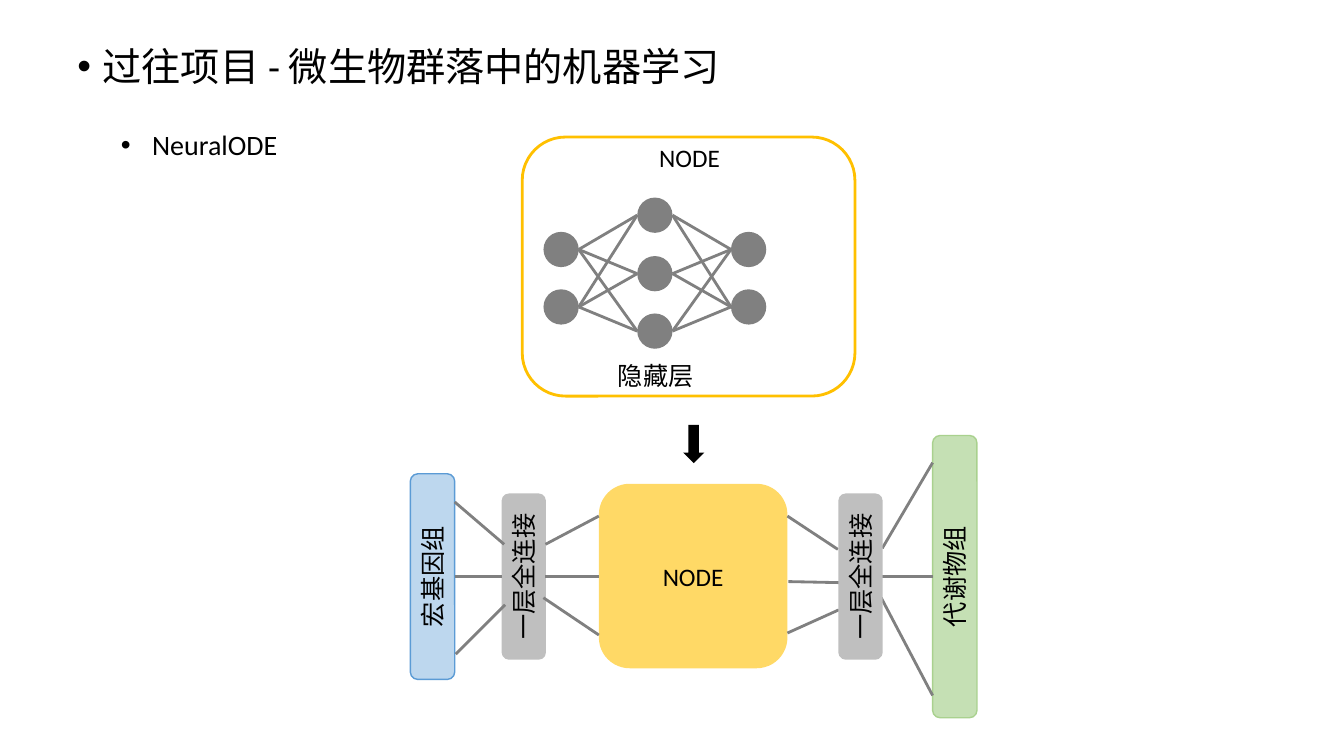
from dataclasses import dataclass
from itertools import product
from typing import Optional

from lxml import etree
from pptx import Presentation
from pptx.dml.color import RGBColor
from pptx.enum import shapes, text
from pptx.oxml.ns import qn
from pptx.util import Inches, Pt


@dataclass(frozen=True)
class Theme:
    font: str = "Calibri"
    black: str = "000000"
    gray: str = "808080"
    silver: str = "BFBFBF"
    gold: str = "FFC000"
    yellow: str = "FFD966"
    sky: str = "BDD7EE"
    blue: str = "5B9BD5"
    mint: str = "C5E0B4"
    green: str = "A9D18E"
    head: int = 28
    item: int = 20
    body: int = 18
    thick: float = 2
    thin: float = 1


@dataclass(frozen=True)
class Box:
    left: float
    top: float
    width: float
    height: float
    fill: Optional[str] = None
    line: Optional[str] = None
    label: str = ""
    turn: int = 0
    kind: shapes.MSO_SHAPE = shapes.MSO_SHAPE.ROUNDED_RECTANGLE
    weight: float = 1


@dataclass(frozen=True)
class Note:
    left: float
    top: float
    width: float
    height: float
    label: str
    size: int
    indent: float = 0
    pitch: float = 1


@dataclass(frozen=True)
class Link:
    x1: float
    y1: float
    x2: float
    y2: float


theme = Theme()


def style(para, size: int) -> None:
    para.font.name = theme.font
    para.font.size = Pt(size)
    para.font.color.rgb = RGBColor.from_string(theme.black)


def draw_box(slide, box: Box) -> None:
    shape = slide.shapes.add_shape(
        box.kind, Inches(box.left), Inches(box.top), Inches(box.width), Inches(box.height)
    )
    shape.shadow.inherit = False
    shape.rotation = box.turn
    if box.fill:
        shape.fill.solid()
        shape.fill.fore_color.rgb = RGBColor.from_string(box.fill)
    else:
        shape.fill.background()
    if box.line:
        shape.line.color.rgb = RGBColor.from_string(box.line)
        shape.line.width = Pt(box.weight)
    else:
        shape.line.fill.background()
    if box.label:
        frame = shape.text_frame
        frame.vertical_anchor = text.MSO_ANCHOR.MIDDLE
        para = frame.paragraphs[0]
        para.text = box.label
        para.alignment = text.PP_ALIGN.CENTER
        style(para, theme.body)


def draw_note(slide, note: Note) -> None:
    area = slide.shapes.add_textbox(
        Inches(note.left), Inches(note.top), Inches(note.width), Inches(note.height)
    )
    frame = area.text_frame
    frame.word_wrap = True
    para = frame.paragraphs[0]
    para.text = note.label
    para.line_spacing = note.pitch
    if note.indent:
        props = para._p.get_or_add_pPr()
        props.set("marL", str(Inches(note.indent)))
        props.set("indent", str(-Inches(note.indent)))
        etree.SubElement(props, qn("a:buFont"), typeface="Arial")
        etree.SubElement(props, qn("a:buChar"), char="•")
    style(para, note.size)


def draw_link(slide, link: Link) -> None:
    line = slide.shapes.add_connector(
        shapes.MSO_CONNECTOR.STRAIGHT,
        Inches(link.x1), Inches(link.y1), Inches(link.x2), Inches(link.y2),
    )
    line.line.color.rgb = RGBColor.from_string(theme.gray)
    line.line.width = Pt(theme.thick)
    etree.SubElement(line._element.spPr, qn("a:effectLst"))


def draw_net(slide) -> None:
    size = 0.35
    outer, inner = (2.3, 2.87), (1.96, 2.54, 3.11)
    layers = [(5.39, outer), (6.32, inner), (7.25, outer)]
    for left, tops in layers:
        for top in tops:
            draw_box(slide, Box(left, top, size, size, theme.gray, kind=shapes.MSO_SHAPE.OVAL))
    for (x1, tops), (x2, ends) in zip(layers, layers[1:]):
        for y1, y2 in product(tops, ends):
            draw_link(slide, Link(x1 + size, y1 + size / 2, x2, y2 + size / 2))


def dense(left: float) -> Box:
    return Box(left, 5.5, 1.65, 0.44, theme.silver, label="一层全连接", turn=270)


NOTES = [
    Note(0.67, 0.42, 11.5, 6.54, "过往项目 - 微生物群落中的机器学习", theme.head, 0.25, 0.9),
    Note(1.1, 1.22, 10.65, 0.44, "NeuralODE", theme.item, 0.31),
    Note(6.03, 3.53, 1.18, 0.4, "隐藏层", theme.body),
    Note(6.44, 1.36, 1.33, 0.4, "NODE", theme.body),
]
BOXES = [
    Box(3.27, 5.5, 2.04, 0.44, theme.sky, theme.blue, "宏基因组", 270, weight=theme.thin),
    dense(4.37),
    Box(5.94, 4.8, 1.87, 1.83, theme.yellow, label="NODE"),
    Box(8.07, 5.5, 2.8, 0.44, theme.mint, theme.green, "代谢物组", 270, weight=theme.thin),
    Box(5.18, 1.36, 3.3, 2.57, line=theme.gold, weight=theme.thick),
    Box(6.69, 4.3, 0.38, 0.21, theme.black, turn=90, kind=shapes.MSO_SHAPE.RIGHT_ARROW),
]
LINKS = [
    Link(4.51, 4.98, 5, 5.4),
    Link(4.51, 5.72, 4.98, 5.72),
    Link(4.52, 6.49, 5.01, 6),
    Link(5.41, 5.4, 5.94, 5.12),
    Link(5.41, 5.72, 5.94, 5.72),
    Link(5.39, 5.93, 5.94, 6.3),
    Link(7.81, 5.12, 8.31, 5.45),
    Link(7.82, 5.77, 8.32, 5.78),
    Link(7.81, 6.28, 8.32, 6.05),
    Link(8.75, 5.44, 9.25, 4.59),
    Link(8.75, 5.72, 9.25, 5.72),
    Link(8.74, 5.93, 9.25, 6.9),
]


def main() -> None:
    deck = Presentation()
    deck.slide_width, deck.slide_height = Inches(13.33), Inches(7.5)
    slide = deck.slides.add_slide(deck.slide_layouts[6])
    draw_net(slide)
    for box in BOXES:
        draw_box(slide, box)
    for link in LINKS:
        draw_link(slide, link)
    draw_box(slide, dense(7.71))
    for note in NOTES:
        draw_note(slide, note)
    deck.save("out.pptx")


if __name__ == "__main__":
    main()
